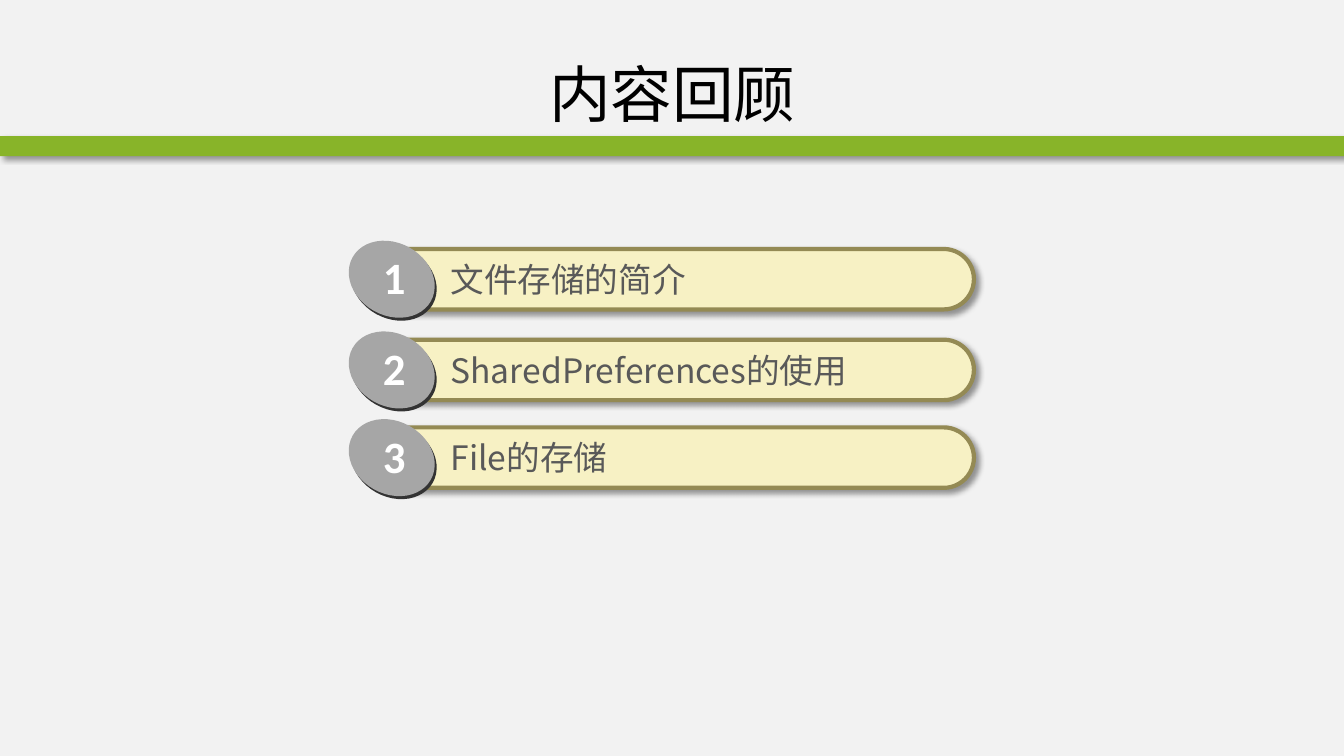
from lxml import etree
from pptx import Presentation
from pptx.dml.color import RGBColor
from pptx.enum.shapes import MSO_SHAPE as SHAPE
from pptx.enum.text import MSO_ANCHOR as ANCHOR, PP_ALIGN as ALIGN
from pptx.oxml.ns import qn
from pptx.util import Inches, Pt

BACKGROUND = RGBColor(0xF2, 0xF2, 0xF2)
GREEN = RGBColor(0x88, 0xB4, 0x29)
CREAM = RGBColor(0xF7, 0xF1, 0xC4)
OLIVE = RGBColor(0x94, 0x8A, 0x54)
TEXT_GRAY = RGBColor(0x59, 0x59, 0x59)
DARK = RGBColor(0x33, 0x33, 0x33)
GRAY = RGBColor(0xA6, 0xA6, 0xA6)
WHITE = RGBColor(0xFF, 0xFF, 0xFF)
BLACK = RGBColor(0, 0, 0)
CJK = "Noto Sans CJK SC"
TOPICS = [(2.47, "文件存储的简介"), (3.37, "SharedPreferences的使用"), (4.24, "File的存储")]


def add_shadow(sp):
    """Give a shape a soft shadow to the lower right."""
    effects = sp._element.spPr.find(qn("a:effectLst"))
    shadow = etree.SubElement(effects, qn("a:outerShdw"), blurRad=str(Pt(4)),
                              dist=str(Pt(3)), dir=str(45 * 60000),
                              algn="tl", rotWithShape="0")
    color = etree.SubElement(shadow, qn("a:srgbClr"), val="000000")
    etree.SubElement(color, qn("a:alpha"), val="40000")


def add_shape(shapes, kind, left, top, width, height, fill, line=None, shadow=False):
    """Add a filled preset shape, measured in inches."""
    sp = shapes.add_shape(kind, Inches(left), Inches(top), Inches(width), Inches(height))
    sp.shadow.inherit = False
    sp.fill.solid()
    sp.fill.fore_color.rgb = fill
    if line is None:
        sp.line.fill.background()
    else:
        sp.line.color.rgb = line
        sp.line.width = Pt(3)
    if shadow:
        add_shadow(sp)
    return sp


def write(sp, text, size, color, font=CJK, bold=False, align=ALIGN.LEFT,
          anchor=ANCHOR.TOP, wrap=True):
    """Write one formatted paragraph into a shape."""
    tf = sp.text_frame
    tf.word_wrap = wrap
    tf.vertical_anchor = anchor
    p = tf.paragraphs[0]
    p.alignment = align
    r = p.add_run()
    r.text = text
    r.font.size = Pt(size)
    r.font.bold = bold
    r.font.color.rgb = color
    r.font.name = font
    etree.SubElement(r.font._element, qn("a:ea"), typeface=font)


def add_header(s, text, left, top, width, height):
    """Place the title and the green bar along the bottom of its box."""
    add_shape(s.shapes, SHAPE.RECTANGLE, 0, top + height - 0.2, 13.33, 0.2,
              GREEN, shadow=True)
    title = s.shapes.title
    title.left, title.top = Inches(left), Inches(top)
    title.width, title.height = Inches(width), Inches(height)
    write(title, text, 44, BLACK, align=ALIGN.CENTER, anchor=ANCHOR.MIDDLE)


def add_topic(s, number, text, left, top, width, height):
    """Add a grouped topic pill with its numbered badge on the left end."""
    shapes = s.shapes.add_group_shape().shapes
    pill = add_shape(shapes, SHAPE.ROUNDED_RECTANGLE, left, top, width, height,
                     CREAM, line=OLIVE, shadow=True)
    pill.adjustments[0] = 0.5
    label = shapes.add_textbox(Inches(left + 0.71), Inches(top + 0.05),
                               Inches(width - 0.91), Inches(0.5))
    write(label, text, 24, TEXT_GRAY)
    for dx, dy, fill in ((-0.2, -0.03, DARK), (-0.22, -0.06, GRAY)):
        badge = add_shape(shapes, SHAPE.OVAL, left + dx, top + dy, 0.89, 0.72, fill)
        badge.rotation = 29.3
    digit = shapes.add_textbox(Inches(left + 0.04), Inches(top - 0.04),
                               Inches(0.43), Inches(0.64))
    write(digit, str(number), 32, WHITE, font="Calibri", bold=True, wrap=False)


def main():
    """Build the review slide and save it."""
    prs = Presentation()
    prs.slide_width, prs.slide_height = Inches(13.33), Inches(7.5)
    s = prs.slides.add_slide(prs.slide_layouts[5])
    s.background.fill.solid()
    s.background.fill.fore_color.rgb = BACKGROUND
    add_header(s, "内容回顾", 0.67, 0.3, 12, 1.25)
    for number, (top, text) in enumerate(TOPICS, 1):
        add_topic(s, number, text, 3.66, top, 6, 0.6)
    prs.save("out.pptx")


if __name__ == "__main__":
    main()
